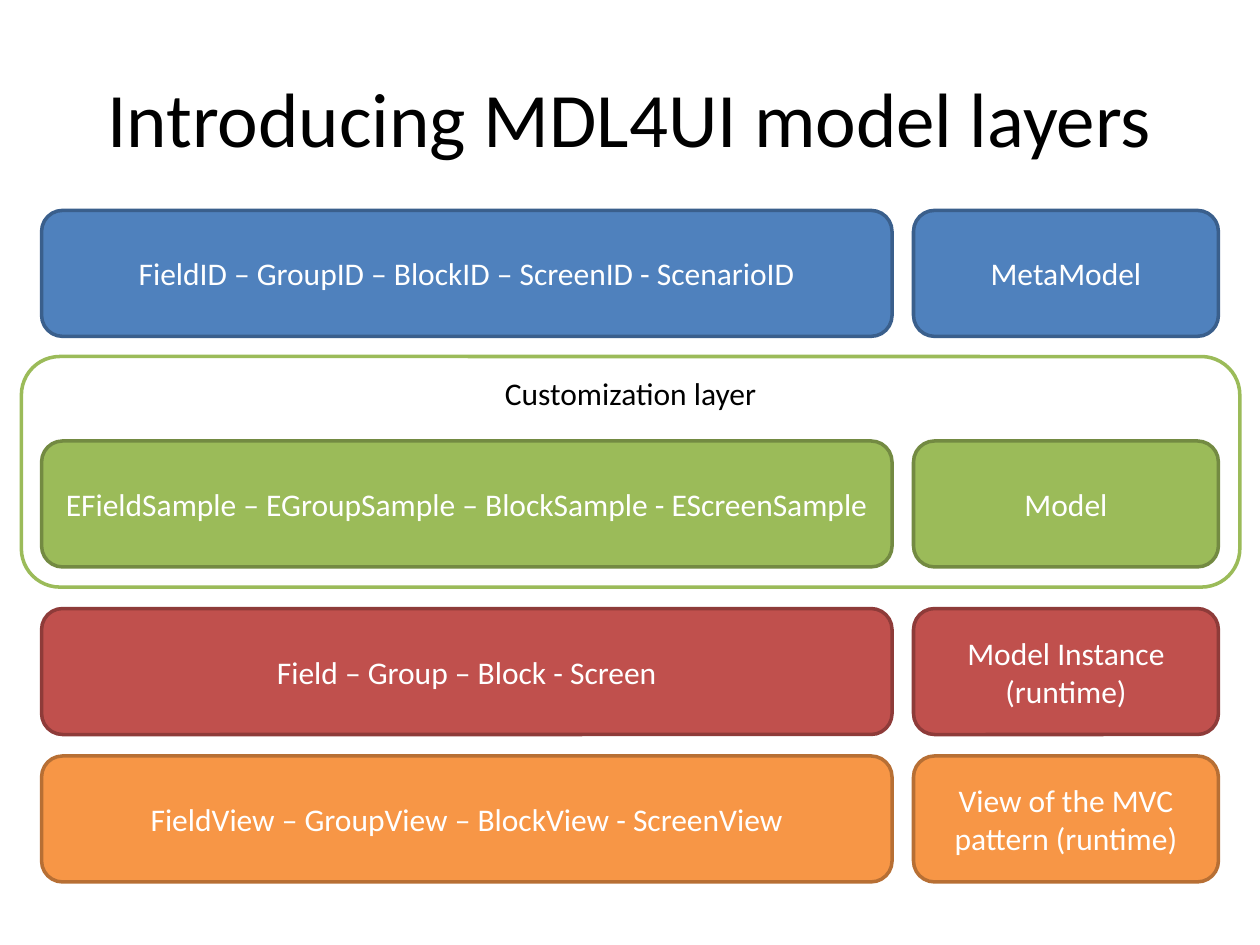
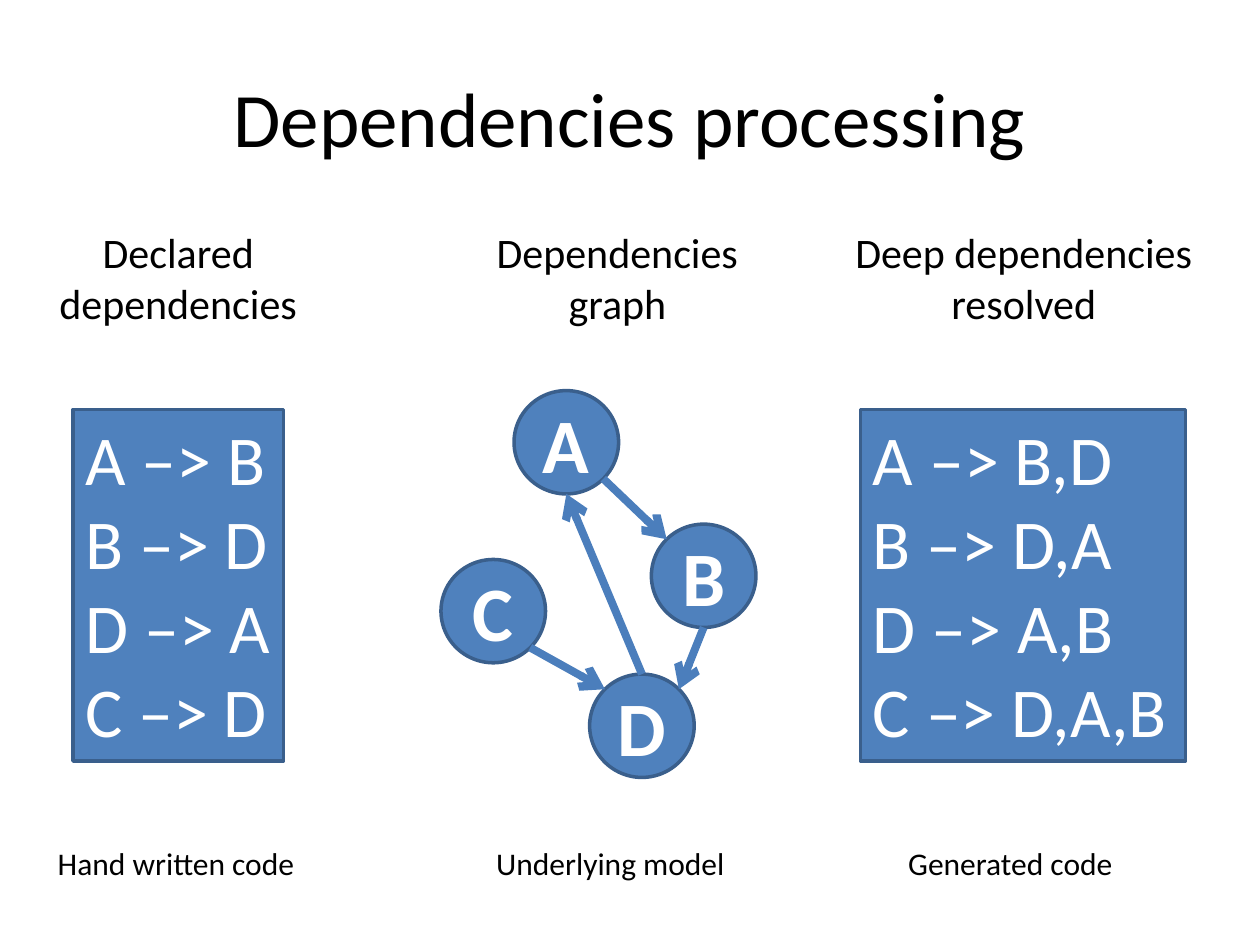
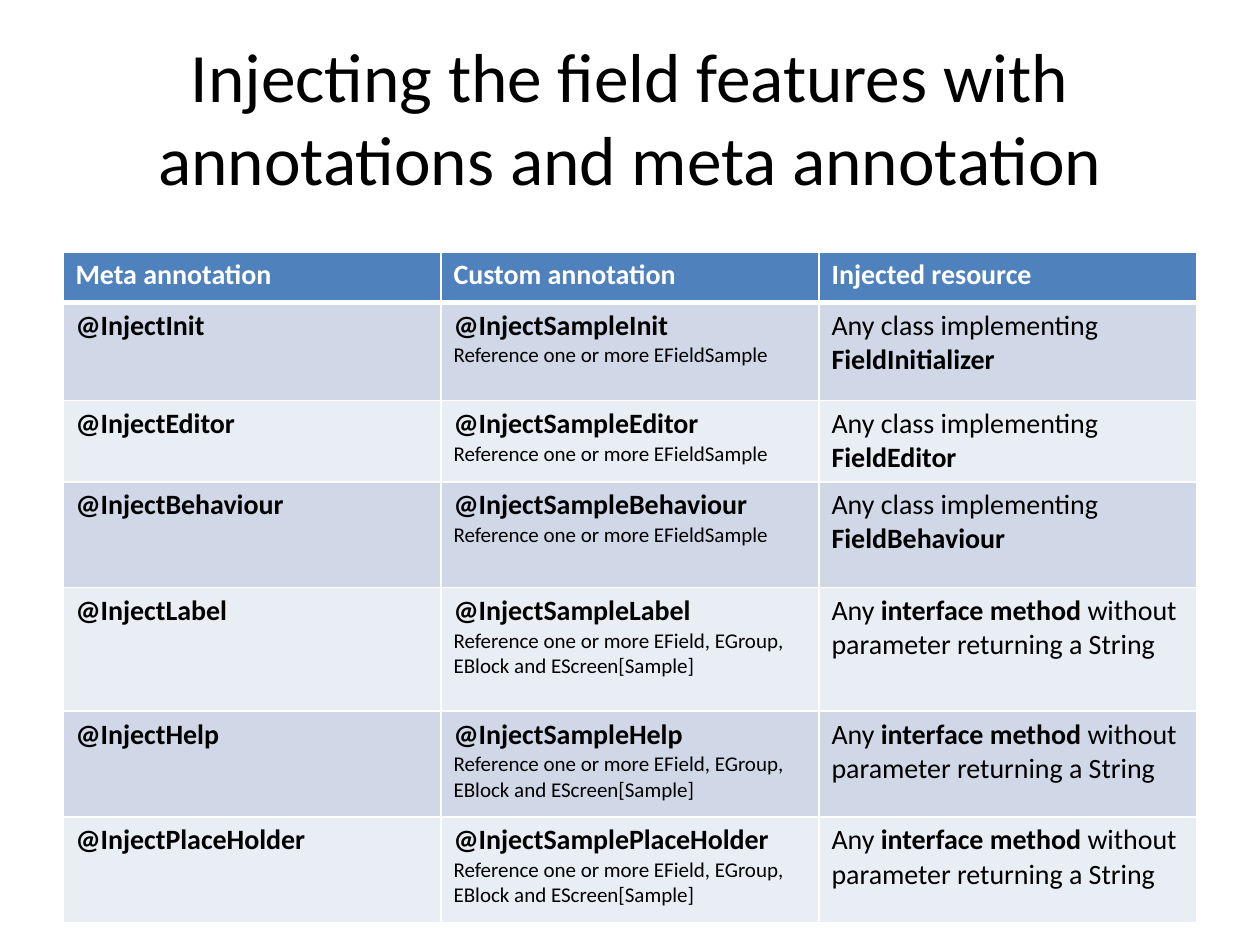
"""Build three slides on model layers, dependencies and annotations."""
import math
from typing import NamedTuple

from lxml import etree
from pptx import Presentation
from pptx import util as u
from pptx.dml.color import RGBColor
from pptx.enum import shapes, text
from pptx.oxml.ns import qn

FACE = "Calibri"
WHITE, BLACK = "FFFFFF", "000000"
BLUE, NAVY, ARROW = "4F81BD", "3A5F8C", "4B7EBC"
GREEN, OLIVE = "9BBB59", "738A42"
BANDS = ("D0D8E8", "E9EDF4")
KIND, ALIGN = shapes.MSO_SHAPE, text.PP_ALIGN
ANCHOR, FIT = text.MSO_ANCHOR, text.MSO_AUTO_SIZE


class Box(NamedTuple):
    """A place in inches."""
    left: float
    top: float
    width: float
    height: float


class Style(NamedTuple):
    """The look of a block of text."""
    size: float = 18
    hue: str = WHITE
    bold: bool = False
    align: ALIGN = ALIGN.CENTER
    anchor: ANCHOR = ANCHOR.MIDDLE
    wrap: bool = True
    fit: FIT = FIT.NONE


class Layer(NamedTuple):
    """A row of two boxes."""
    top: float
    types: str
    name: str
    fill: str
    edge: str


class Label(NamedTuple):
    """A heading or caption with its own box."""
    box: Box
    lines: tuple
    style: Style


class Code(NamedTuple):
    """A listing of dependencies."""
    left: float
    width: float
    lines: tuple


class Node(NamedTuple):
    """A circle of the graph."""
    left: float
    top: float


class Edge(NamedTuple):
    """An arrow between two nodes, leaving and landing at angles."""
    start: str
    out: int
    end: str
    into: int


class Inject(NamedTuple):
    """A table row, with bold marked by stars."""
    name: str
    note: str
    source: str
    height: float


HEAD = Style(24, BLACK, anchor=ANCHOR.TOP, fit=FIT.SHAPE_TO_FIT_TEXT)
TIGHT = HEAD._replace(wrap=False)
FOOT = TIGHT._replace(size=18, align=ALIGN.LEFT)
LISTING = HEAD._replace(size=40, hue=WHITE, align=ALIGN.LEFT)

LAYERS = (
    Layer(1.67, "FieldID – GroupID – BlockID – ScreenID - ScenarioID", "MetaModel", BLUE, NAVY),
    Layer(3.5, "EFieldSample – EGroupSample – BlockSample - EScreenSample", "Model", GREEN, OLIVE),
    Layer(4.83, "Field – Group – Block - Screen", "Model Instance (runtime)", "C0504D", "8E3B39"),
    Layer(6, "FieldView – GroupView – BlockView - ScreenView", "View of the MVC pattern (runtime)",
          "F79646", "B76F34"),
)
LABELS = (
    Label(Box(0.36, 1.75, 2.11, 0.91), ("Declared", "dependencies"), TIGHT),
    Label(Box(3.79, 1.75, 2.22, 0.91), ("Dependencies", "graph"), TIGHT),
    Label(Box(6.53, 1.75, 3.19, 0.91), ("Deep dependencies resolved",), HEAD),
    Label(Box(0.36, 6.65, 2.11, 0.4), ("Hand written code",), FOOT),
    Label(Box(3.84, 6.65, 2.04, 0.4), ("Underlying model",), FOOT),
    Label(Box(7.11, 6.65, 1.84, 0.4), ("Generated code",), FOOT),
)
CODES = (
    Code(0.58, 1.67, ("A –> B", "B –> D", "D –> A", "C –> D")),
    Code(6.83, 2.58, ("A –> B,D", "B –> D,A", "D –> A,B", "C –> D,A,B")),
)
NODES = {"A": Node(4.08, 3.1), "B": Node(5.17, 4.16), "C": Node(3.5, 4.44), "D": Node(4.68, 5.35)}
NODE_W, NODE_H = 0.83, 0.82
EDGES = (Edge("A", 45, "B", 225), Edge("B", 90, "D", 315),
         Edge("C", 45, "D", 225), Edge("D", 270, "A", 90))

HEADS = ("Meta annotation", "Custom annotation", "Injected resource")
FIELD = "Reference one or more EFieldSample"
ANY = "Reference one or more EField, EGroup, EBlock and EScreen[Sample]"
CLASS = "Any class implementing *Field{}*"
METHOD = "Any *interface method *without parameter returning a String"
INJECTS = (
    Inject("Init", FIELD, CLASS.format("Initializer"), 0.78),
    Inject("Editor", FIELD, CLASS.format("Editor"), 0.64),
    Inject("Behaviour", FIELD, CLASS.format("Behaviour"), 0.84),
    Inject("Label", ANY, METHOD, 0.98),
    Inject("Help", ANY, METHOD, 0.84),
    Inject("PlaceHolder", ANY, METHOD, 0.84),
)


def paint(color, hue: str) -> None:
    """Set a colour format from a hex string."""
    color.rgb = RGBColor.from_string(hue)


def place(box: Box) -> tuple:
    """Turn a box into lengths."""
    return tuple(u.Inches(side) for side in box)


def set_font(para, size: float, hue: str, bold: bool) -> None:
    """Set the font of a whole paragraph."""
    font = para.font
    font.name, font.size, font.bold = FACE, u.Pt(size), bold
    paint(font.color, hue)


def write(frame, lines: tuple, style: Style) -> None:
    """Fill a text frame with styled paragraphs."""
    frame.text = "\n".join(lines)
    frame.word_wrap, frame.auto_size = style.wrap, style.fit
    frame.vertical_anchor = style.anchor
    for para in frame.paragraphs:
        para.alignment = style.align
        set_font(para, style.size, style.hue, style.bold)


def add_slide(deck, title: str, size: float = 44):
    """Add a slide with its title set."""
    slide = deck.slides.add_slide(deck.slide_layouts[5])
    head = slide.shapes.title
    head.left, head.top, head.width, head.height = place(Box(0.5, 0.3, 9, 1.25))
    write(head.text_frame, (title,), Style(size, BLACK))
    return slide


def add_block(tree, kind, box: Box, fill: str, edge: str, lines: tuple, style: Style) -> None:
    """Add a filled, outlined shape with text."""
    shape = tree.add_shape(kind, *place(box))
    shape.shadow.inherit = False
    shape.fill.solid()
    paint(shape.fill.fore_color, fill)
    paint(shape.line.color, edge)
    shape.line.width = u.Pt(2)
    write(shape.text_frame, lines, style)


def rim(name: str, angle: int) -> tuple:
    """Find the point on a node's rim at an angle."""
    node, turn = NODES[name], math.radians(angle)
    return (u.Inches(node.left + NODE_W / 2 * (1 + math.cos(turn))),
            u.Inches(node.top + NODE_H / 2 * (1 + math.sin(turn))))


def add_edge(tree, edge: Edge) -> None:
    """Draw an arrow between two nodes."""
    link = tree.add_connector(shapes.MSO_CONNECTOR.STRAIGHT,
                              *rim(edge.start, edge.out), *rim(edge.end, edge.into))
    paint(link.line.color, ARROW)
    link.line.width = u.Pt(4.5)
    props = link._element.spPr
    etree.SubElement(props.find(qn("a:ln")), qn("a:tailEnd"), type="arrow")
    etree.SubElement(props, qn("a:effectLst"))


def style_cell(cell, fill: str, top: float = 1, base: float = 1) -> None:
    """Fill a cell and draw its white borders."""
    cell.fill.solid()
    paint(cell.fill.fore_color, fill)
    props = cell._tc.get_or_add_tcPr()
    for spot, (side, width) in enumerate(zip("LRTB", (1, 1, top, base))):
        line = etree.Element(qn(f"a:ln{side}"), w=str(u.Pt(width)))
        solid = etree.SubElement(line, qn("a:solidFill"))
        etree.SubElement(solid, qn("a:srgbClr"), val=WHITE)
        props.insert(spot, line)


def write_cell(cell, source: str, hue: str = BLACK, bold: bool = False, note: str = "") -> None:
    """Write a cell, with starred words bold and a small note below."""
    para = cell.text_frame.paragraphs[0]
    set_font(para, 16, hue, bold)
    for spot, words in enumerate(source.split("*")):
        if words:
            run = para.add_run()
            run.text = words
            if spot % 2:
                run.font.bold = True
    if note:
        para = cell.text_frame.add_paragraph()
        para.text = note
        set_font(para, 12, hue, False)


def draw_layers(deck) -> None:
    """Draw the model layers."""
    tree = add_slide(deck, "Introducing MDL4UI model layers").shapes
    kind = KIND.ROUNDED_RECTANGLE
    add_block(tree, kind, Box(0.17, 2.83, 9.67, 1.83), WHITE, GREEN, ("Customization layer",),
              Style(hue=BLACK, anchor=ANCHOR.TOP))
    for row in LAYERS:
        for left, width, words in ((0.33, 6.75, row.types), (7.25, 2.42, row.name)):
            add_block(tree, kind, Box(left, row.top, width, 1), row.fill, row.edge,
                      (words,), Style())


def draw_graph(deck) -> None:
    """Draw the dependency listings and graph."""
    tree = add_slide(deck, "Dependencies processing").shapes
    graph = tree.add_group_shape().shapes
    for name, node in NODES.items():
        add_block(graph, KIND.OVAL, Box(node.left, node.top, NODE_W, NODE_H), BLUE, NAVY,
                  (name,), Style(44, bold=True))
    for edge in EDGES:
        add_edge(graph, edge)
    for code in CODES:
        add_block(tree, KIND.RECTANGLE, Box(code.left, 3.25, code.width, 2.79), BLUE, NAVY,
                  code.lines, LISTING)
    for label in LABELS:
        write(tree.add_textbox(*place(label.box)).text_frame, label.lines, label.style)


def draw_table(deck) -> None:
    """Draw the table of annotations."""
    slide = add_slide(deck, "Injecting the field features with annotations and meta annotation", 39.6)
    tall = 0.4 + sum(row.height for row in INJECTS)
    grid = slide.shapes.add_table(len(INJECTS) + 1, len(HEADS),
                                  *place(Box(0.5, 2, 9, tall))).table
    grid.rows[0].height = u.Inches(0.4)
    for col, head in enumerate(HEADS):
        cell = grid.cell(0, col)
        write_cell(cell, head, WHITE, True)
        style_cell(cell, BLUE, base=3)
    for spot, row in enumerate(INJECTS, 1):
        grid.rows[spot].height = u.Inches(row.height)
        meta, custom, source = cells = tuple(grid.rows[spot].cells)
        write_cell(meta, f"@Inject{row.name}", bold=True)
        write_cell(custom, f"@InjectSample{row.name}", bold=True, note=row.note)
        write_cell(source, row.source)
        for cell in cells:
            style_cell(cell, BANDS[(spot - 1) % 2], top=3 if spot == 1 else 1)


def main() -> None:
    """Build and save the deck."""
    deck = Presentation()
    deck.slide_width, deck.slide_height = u.Inches(10), u.Inches(7.5)
    for draw in (draw_layers, draw_graph, draw_table):
        draw(deck)
    deck.save("out.pptx")


if __name__ == "__main__":
    main()
